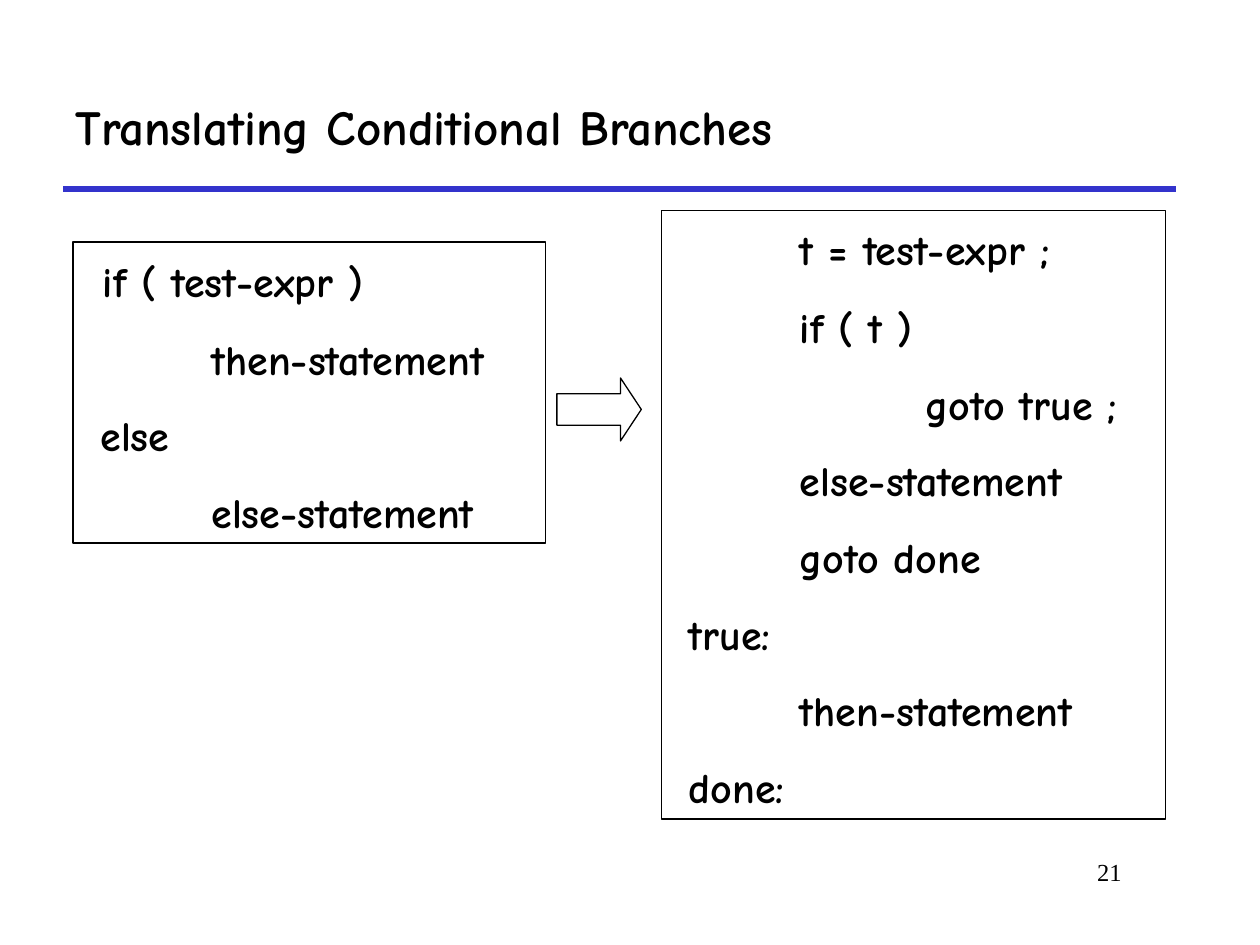
import dataclasses

import pptx
import pptx.dml.color
import pptx.enum.shapes
import pptx.enum.text
import pptx.oxml
import pptx.oxml.ns
import pptx.util
from pptx.util import Inches

SHAPES = pptx.enum.shapes.MSO_SHAPE
ALIGN = pptx.enum.text.PP_ALIGN
ANCHOR = pptx.enum.text.MSO_ANCHOR
AUTO_SIZE = pptx.enum.text.MSO_AUTO_SIZE


@dataclasses.dataclass(frozen=True)
class Theme:
    ink: pptx.dml.color.RGBColor = pptx.dml.color.RGBColor(0, 0, 0)
    rule: pptx.dml.color.RGBColor = pptx.dml.color.RGBColor(0x33, 0x33, 0xCC)
    font: str = "Comic Neue"
    number_font: str = "Times New Roman"
    title_size: int = 28
    code_size: int = 24
    number_size: int = 14
    line_gap: int = 15
    outline: float = 0.75
    rule_width: int = 3


THEME = Theme()

SOURCE_CODE = [
    [(" ", THEME.title_size), ("if ( test-expr )", THEME.code_size)],
    [("\tthen-statement", THEME.code_size)],
    [(" else", THEME.code_size)],
    [("\telse-statement", THEME.code_size)],
]
GOTO_CODE = [
    [(" \t", THEME.title_size), ("t = test-expr ;", THEME.code_size)],
    [(" \tif ( t )", THEME.code_size)],
    [("\t\tgoto true ;", THEME.code_size)],
    [(" \telse-statement", THEME.code_size)],
    [(" \tgoto done", THEME.code_size)],
    [(" true:", THEME.code_size)],
    [("\tthen-statement", THEME.code_size)],
    [(" done:", THEME.code_size)],
]


def add_run(paragraph, text, size, font=THEME.font, bold=True):
    run = paragraph.add_run()
    run.text = text
    run.font.name = font
    run.font.size = pptx.util.Pt(size)
    run.font.bold = bold
    run.font.color.rgb = THEME.ink


def add_tab_stops(paragraph, count=2):
    properties = paragraph._p.get_or_add_pPr()
    stops = pptx.oxml.parse_xml(f"<a:tabLst {pptx.oxml.ns.nsdecls('a')}/>")
    properties.append(stops)
    for inch in range(1, count + 1):
        stop = stops.makeelement(pptx.oxml.ns.qn("a:tab"))
        stop.set("pos", str(Inches(inch)))
        stop.set("algn", "l")
        stops.append(stop)


def add_outlined(slide, kind, box):
    outlined = slide.shapes.add_shape(kind, *map(Inches, box))
    outlined.shadow.inherit = False
    outlined.fill.background()
    outlined.line.color.rgb = THEME.ink
    outlined.line.width = pptx.util.Pt(THEME.outline)
    return outlined


def place_title(slide, box, text):
    title = slide.shapes.title
    title.left, title.top, title.width, title.height = map(Inches, box)
    frame = title.text_frame
    frame.word_wrap = True
    frame.auto_size = AUTO_SIZE.NONE
    frame.vertical_anchor = ANCHOR.MIDDLE
    heading = frame.paragraphs[0]
    heading.alignment = ALIGN.LEFT
    add_run(heading, text, THEME.title_size)


def place_rule(slide, box):
    left, top, width, height = map(Inches, box)
    rule = slide.shapes.add_connector(
        pptx.enum.shapes.MSO_CONNECTOR.STRAIGHT,
        left, top, left + width, top + height)
    rule.line.color.rgb = THEME.rule
    rule.line.width = pptx.util.Pt(THEME.rule_width)
    rule._element.spPr.append(
        pptx.oxml.parse_xml(f"<a:effectLst {pptx.oxml.ns.nsdecls('a')}/>"))


def place_code(slide, box, lines):
    panel = add_outlined(slide, SHAPES.RECTANGLE, box)
    frame = panel.text_frame
    frame.word_wrap = True
    frame.auto_size = AUTO_SIZE.SHAPE_TO_FIT_TEXT
    frame.vertical_anchor = ANCHOR.TOP
    for index, pieces in enumerate(lines):
        line = frame.add_paragraph() if index else frame.paragraphs[0]
        add_tab_stops(line)
        line.alignment = ALIGN.LEFT
        if index:
            line.space_before = pptx.util.Pt(THEME.line_gap)
        for text, size in pieces:
            add_run(line, text, size)


def place_arrow(slide, box):
    arrow = add_outlined(slide, SHAPES.RIGHT_ARROW, box)
    arrow.adjustments[0] = 0.5
    arrow.adjustments[1] = 0.33


def place_page_number(slide, box, number):
    frame = slide.shapes.add_textbox(*map(Inches, box)).text_frame
    frame.word_wrap = True
    page = frame.paragraphs[0]
    page.alignment = ALIGN.RIGHT
    add_run(page, number, THEME.number_size, THEME.number_font, bold=False)


def main():
    deck = pptx.Presentation()
    deck.slide_width, deck.slide_height = Inches(10), Inches(7.5)
    slide = deck.slides.add_slide(deck.slide_layouts.get_by_name("Title Only"))
    place_rule(slide, (0.5, 1.5, 8.83, 0))
    place_page_number(slide, (7.58, 6.75, 1.42, 0.5), "21")
    place_title(slide, (0.5, 0.5, 8.83, 1), "Translating Conditional Branches")
    place_code(slide, (0.58, 1.92, 3.75, 2.39), SOURCE_CODE)
    place_arrow(slide, (4.42, 3, 0.67, 0.5))
    place_code(slide, (5.25, 1.67, 4, 4.83), GOTO_CODE)
    deck.save("out.pptx")


if __name__ == "__main__":
    main()
